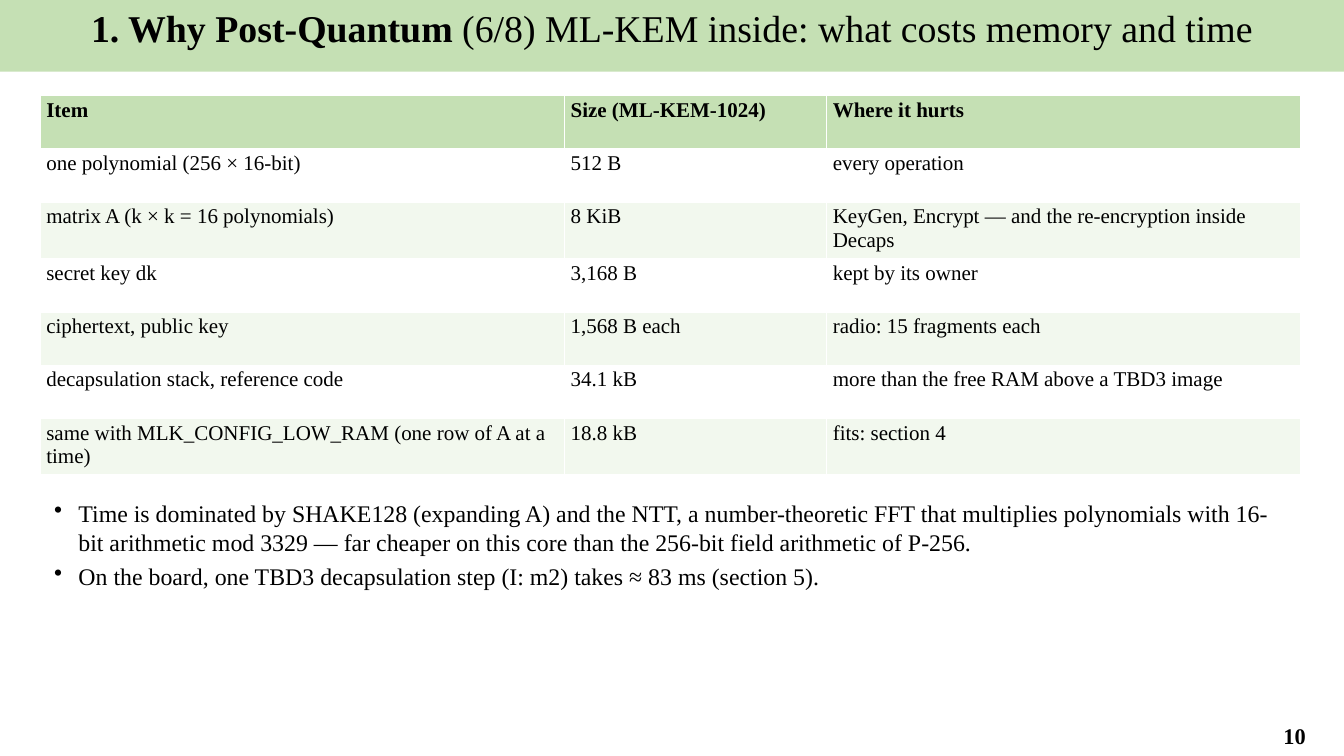
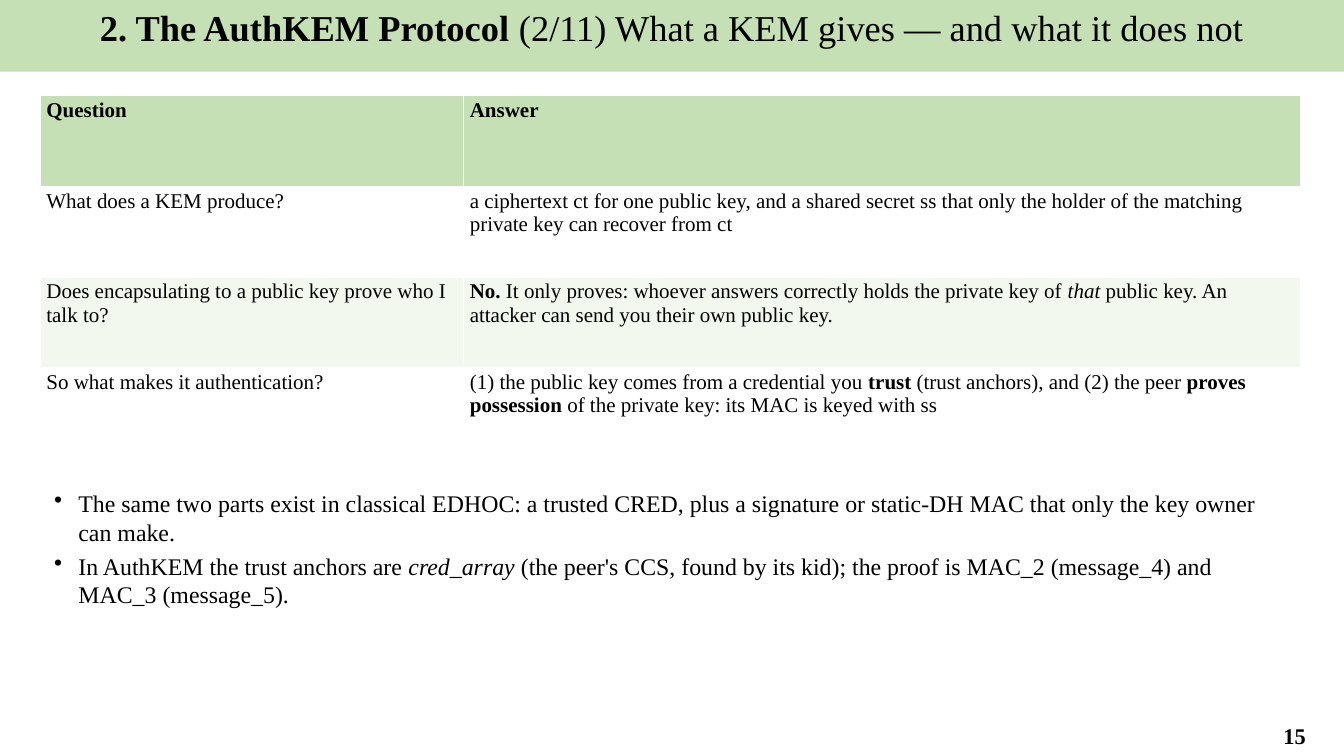
import pptx
import pptx.util
import pptx.dml.color
import pptx.enum.shapes
import pptx.enum.text
import lxml.etree

Inches = pptx.util.Inches
Color = pptx.dml.color.RGBColor
Align = pptx.enum.text.PP_ALIGN
Anchor = pptx.enum.text.MSO_ANCHOR

# Shared look
GREEN = Color(0xC5, 0xE0, 0xB4)
PALE = Color(0xF2, 0xF8, 0xEE)
WHITE = Color(0xFF, 0xFF, 0xFF)
BLACK = Color(0x00, 0x00, 0x00)
FONT = "Times New Roman"

# Grid, in inches
WIDE, HIGH = 13.33, 7.5
LEFT, SPAN = 0.4, 12.5
BAND = 0.71
TOP = 0.95
GAP = 0.25

# Slide content: **bold**, *italic*
MEMORY = [
    ["Item", "Size (ML-KEM-1024)", "Where it hurts"],
    ["one polynomial (256 × 16-bit)", "512 B", "every operation"],
    ["matrix A (k × k = 16 polynomials)", "8 KiB",
     "KeyGen, Encrypt — and the re-encryption inside Decaps"],
    ["secret key dk", "3,168 B", "kept by its owner"],
    ["ciphertext, public key", "1,568 B each", "radio: 15 fragments each"],
    ["decapsulation stack, reference code", "34.1 kB",
     "more than the free RAM above a TBD3 image"],
    ["same with MLK_CONFIG_LOW_RAM (one row of A at a time)", "18.8 kB",
     "fits: section 4"],
]
COSTS = [
    "Time is dominated by SHAKE128 (expanding A) and the NTT, a "
    "number-theoretic FFT that multiplies polynomials with 16-bit arithmetic "
    "mod 3329 — far cheaper on this core than the 256-bit field arithmetic "
    "of P-256.",
    "On the board, one TBD3 decapsulation step (I: m2) takes ≈ 83 ms "
    "(section 5).",
]
ANSWERS = [
    ["Question", "Answer"],
    ["What does a KEM produce?",
     "a ciphertext ct for one public key, and a shared secret ss that only "
     "the holder of the matching private key can recover from ct"],
    ["Does encapsulating to a public key prove who I talk to?",
     "**No.** It only proves: whoever answers correctly holds the private key "
     "of *that* public key. An attacker can send you their own public key."],
    ["So what makes it authentication?",
     "(1) the public key comes from a credential you **trust** (trust "
     "anchors), and (2) the peer **proves possession** of the private key: "
     "its MAC is keyed with ss"],
]
PROOFS = [
    "The same two parts exist in classical EDHOC: a trusted CRED, plus a "
    "signature or static-DH MAC that only the key owner can make.",
    "In AuthKEM the trust anchors are *cred_array* (the peer's CCS, found by "
    "its kid); the proof is MAC_2 (message_4) and MAC_3 (message_5).",
]


def write(para, text, size=15, bold=False, align=None):
    """Fill a paragraph, turning ** and * marks into bold and italic runs."""
    para.alignment = align
    for i, part in enumerate(text.split("**")):
        for j, piece in enumerate(part.split("*")):
            if piece:
                run = para.add_run()
                run.text = piece
                font = run.font
                font.name, font.size = FONT, pptx.util.Pt(size)
                font.bold = bold or i % 2 == 1
                font.italic = j % 2 == 1
                font.color.rgb = BLACK


def add_band(slide, title, size):
    band = slide.shapes.add_shape(
        pptx.enum.shapes.MSO_SHAPE.RECTANGLE,
        0, 0, Inches(WIDE), Inches(BAND))
    band.shadow.inherit = False
    band.fill.solid()
    band.fill.fore_color.rgb = GREEN
    band.line.fill.background()
    frame = band.text_frame
    frame.word_wrap = True
    frame.vertical_anchor = Anchor.TOP
    write(frame.paragraphs[0], title, size=size, align=Align.CENTER)


def add_box(slide, left, top, width, height):
    box = slide.shapes.add_textbox(*map(Inches, (left, top, width, height)))
    box.text_frame.word_wrap = True
    return box.text_frame


def add_page(slide, number):
    frame = add_box(slide, 12.35, 7.1, WIDE - 12.35, 0.39)
    frame.vertical_anchor = Anchor.MIDDLE
    write(frame.paragraphs[0], str(number), size=16, bold=True,
          align=Align.CENTER)


def add_grid(slide, rows, widths, height):
    table = slide.shapes.add_table(
        len(rows), len(widths), Inches(LEFT), Inches(TOP),
        Inches(SPAN), Inches(height)).table
    for column, width in zip(table.columns, widths):
        column.width = Inches(width)
    for r, row in enumerate(rows):
        for c, text in enumerate(row):
            cell = table.cell(r, c)
            cell.margin_left = cell.margin_right = Inches(0.06)
            cell.margin_top = cell.margin_bottom = Inches(0.03)
            cell.fill.solid()
            cell.fill.fore_color.rgb = (
                GREEN if r == 0 else WHITE if r % 2 else PALE)
            write(cell.text_frame.paragraphs[0], text, bold=r == 0)


def add_list(slide, items, top):
    frame = add_box(slide, LEFT, top, SPAN, 2)
    for i, item in enumerate(items):
        para = frame.add_paragraph() if i else frame.paragraphs[0]
        props = para._p.get_or_add_pPr()
        props.set("marL", str(Inches(0.28)))
        props.set("indent", str(-Inches(0.24)))
        mark = lxml.etree.SubElement(
            props, pptx.oxml.ns.qn("a:buChar"))
        mark.set("char", "•")
        para.space_after = pptx.util.Pt(4)
        write(para, item, size=17)


def add_slide(deck, title, size, page, rows, widths, height, items):
    slide = deck.slides.add_slide(deck.slide_layouts[6])
    add_band(slide, title, size)
    add_page(slide, page)
    add_grid(slide, rows, widths, height)
    add_list(slide, items, TOP + height + GAP)


def main():
    deck = pptx.Presentation()
    deck.slide_width, deck.slide_height = Inches(WIDE), Inches(HIGH)
    add_slide(deck, "**1. Why Post-Quantum **(6/8) ML-KEM inside: "
              "what costs memory and time", 27, 10,
              MEMORY, (5.2, 2.6, 4.7), 3.7, COSTS)
    add_slide(deck, "**2. The AuthKEM Protocol **(2/11) What a KEM gives — "
              "and what it does not", 26, 15,
              ANSWERS, (4.2, 8.3), 3.6, PROOFS)
    deck.save("out.pptx")


if __name__ == "__main__":
    main()
